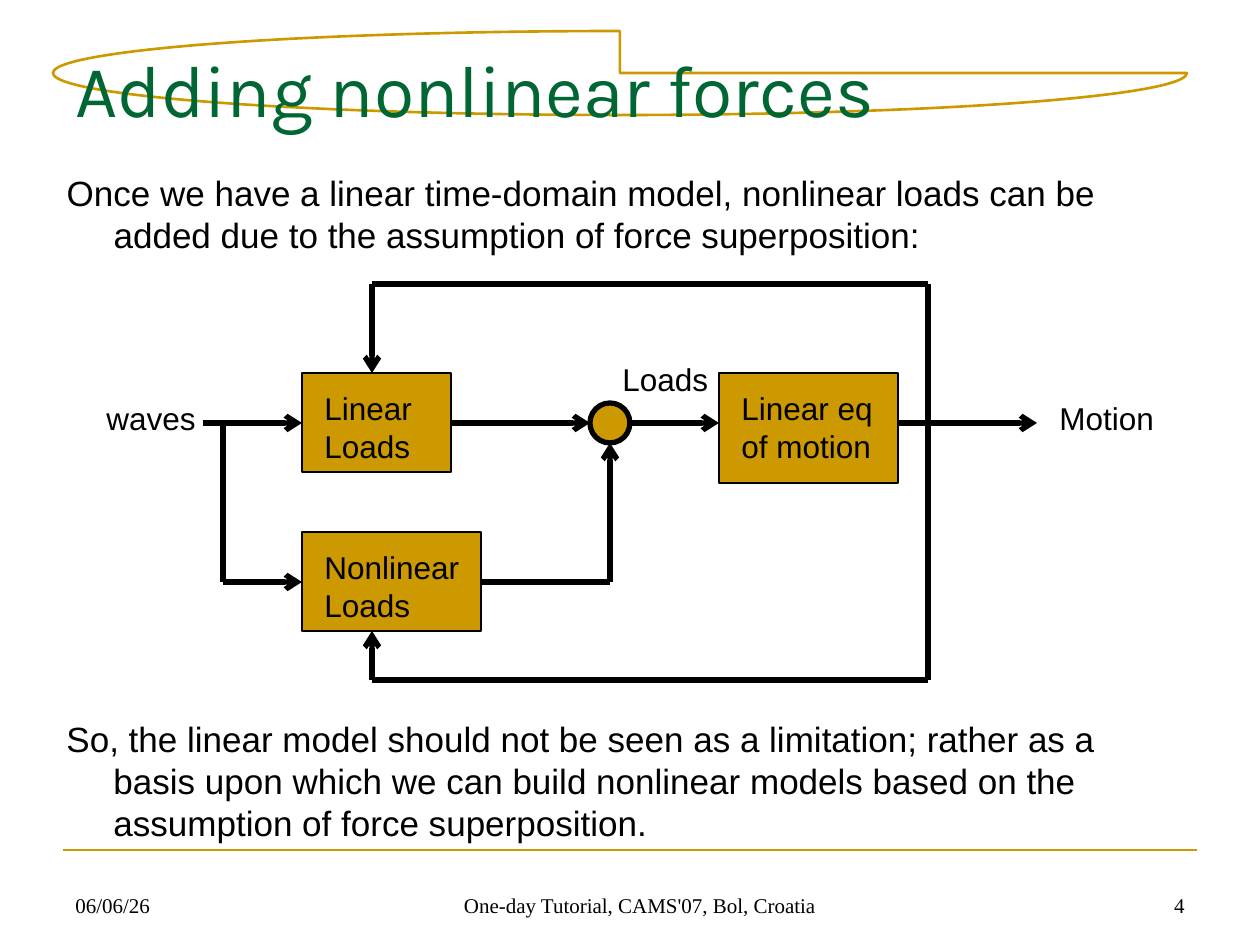
import dataclasses
import typing

import lxml.etree
import pptx
import pptx.dml.color
import pptx.enum.shapes
import pptx.enum.text
import pptx.oxml
import pptx.oxml.ns
import pptx.util

EMU_PER_PX = 914400 // 126
GOLD, GREEN, BLACK = "CC9900", "006633", "000000"
SHAPE = pptx.enum.shapes.MSO_SHAPE
ALIGN = pptx.enum.text.PP_ALIGN
ANCHOR = pptx.enum.text.MSO_ANCHOR
FEEDBACK_X, FEEDBACK_TOP, FEEDBACK_BOTTOM = 928, 284, 680
BRANCH_X, LOADS_X, SUM_X = 223, 372, 610
MAIN_Y, LOWER_Y = 423, 582


@dataclasses.dataclass(frozen=True)
class Box:
    left: int
    top: int
    width: int
    height: int


@dataclasses.dataclass(frozen=True)
class Label:
    text: str
    box: Box


@dataclasses.dataclass(frozen=True)
class Wire:
    start: tuple[int, int]
    end: tuple[int, int]
    arrow: bool = False


@dataclasses.dataclass(frozen=True)
class Footer:
    text: str
    box: Box
    align: ALIGN


BLOCKS = [
    Box(302, 373, 149, 99),
    Box(719, 373, 179, 110),
    Box(302, 532, 179, 99),
]
LABELS = [
    Label("Linear\vLoads", Box(312, 383, 129, 88)),
    Label("Linear eq of motion", Box(729, 383, 159, 88)),
    Label("Nonlinear Loads", Box(312, 542, 179, 88)),
    Label("waves", Box(94, 393, 129, 50)),
    Label("Motion", Box(1047, 393, 129, 50)),
    Label("Loads", Box(610, 354, 129, 50)),
]
WIRES = [
    Wire((203, MAIN_Y), (302, MAIN_Y), True),
    Wire((451, MAIN_Y), (590, MAIN_Y), True),
    Wire((630, MAIN_Y), (719, MAIN_Y), True),
    Wire((898, MAIN_Y), (1037, MAIN_Y), True),
    Wire((BRANCH_X, MAIN_Y), (BRANCH_X, LOWER_Y)),
    Wire((BRANCH_X, LOWER_Y), (302, LOWER_Y), True),
    Wire((481, LOWER_Y), (SUM_X, LOWER_Y)),
    Wire((SUM_X, LOWER_Y), (SUM_X, 443), True),
    Wire((FEEDBACK_X, FEEDBACK_BOTTOM), (FEEDBACK_X, FEEDBACK_TOP)),
    Wire((LOADS_X, FEEDBACK_TOP), (FEEDBACK_X, FEEDBACK_TOP)),
    Wire((LOADS_X, FEEDBACK_TOP), (LOADS_X, 373), True),
    Wire((LOADS_X, FEEDBACK_BOTTOM), (FEEDBACK_X, FEEDBACK_BOTTOM)),
    Wire((LOADS_X, FEEDBACK_BOTTOM), (LOADS_X, 631), True),
]
FOOTERS = [
    Footer("06/06/26", Box(63, 861, 294, 63), ALIGN.LEFT),
    Footer("One-day Tutorial, CAMS'07, Bol, Croatia", Box(392, 861, 496, 63), ALIGN.CENTER),
    Footer("4", Box(903, 861, 294, 63), ALIGN.RIGHT),
]
OPENING = (
    "Once we have a linear time-domain model, nonlinear loads can be added "
    "due to the assumption of force superposition:"
)
CLOSING = (
    "So, the linear model should not be seen as a limitation; rather as a basis "
    "upon which we can build nonlinear models based on the assumption of force superposition."
)


def px(length: int) -> int:
    return pptx.util.Emu(length * EMU_PER_PX)


def rgb(value: str) -> pptx.dml.color.RGBColor:
    return pptx.dml.color.RGBColor.from_string(value)


def frame(box: Box) -> tuple[int, ...]:
    return tuple(px(length) for length in dataclasses.astuple(box))


def write_text(shape: typing.Any, text: str, *, size: int = 18, font: str = "Arial",
               color: str = BLACK, align: ALIGN = ALIGN.LEFT,
               anchor: ANCHOR = ANCHOR.TOP, hanging: int = 0) -> None:
    text_frame = shape.text_frame
    text_frame.word_wrap = True
    text_frame.auto_size = pptx.enum.text.MSO_AUTO_SIZE.NONE
    text_frame.vertical_anchor = anchor
    paragraph = text_frame.paragraphs[0]
    paragraph.text = text
    paragraph.alignment = align
    paragraph.space_before = pptx.util.Pt(0)
    properties = paragraph._p.get_or_add_pPr()
    properties.set("marL", str(px(hanging)))
    properties.set("indent", str(-px(hanging)))
    lxml.etree.SubElement(properties, pptx.oxml.ns.qn("a:buNone"))
    for run in paragraph.runs:
        run.font.size = pptx.util.Pt(size)
        run.font.name = font
        run.font.color.rgb = rgb(color)


def fill_placeholder(shape: typing.Any, box: Box, text: str, **text_format: typing.Any) -> None:
    shape.left, shape.top, shape.width, shape.height = frame(box)
    write_text(shape, text, **text_format)


def add_text(slide: typing.Any, box: Box, text: str, **text_format: typing.Any) -> None:
    write_text(slide.shapes.add_textbox(*frame(box)), text, **text_format)


def add_outline(slide: typing.Any, kind: SHAPE, box: Box, line: str, weight: float,
                fill: str | None = None) -> None:
    shape = slide.shapes.add_shape(kind, *frame(box))
    shape.shadow.inherit = False
    if fill:
        shape.fill.solid()
        shape.fill.fore_color.rgb = rgb(fill)
    else:
        shape.fill.background()
    shape.line.color.rgb = rgb(line)
    shape.line.width = pptx.util.Pt(weight)


def add_wire(slide: typing.Any, wire: Wire, color: str = BLACK, weight: float = 3) -> None:
    connector = slide.shapes.add_connector(
        pptx.enum.shapes.MSO_CONNECTOR.STRAIGHT, *map(px, wire.start + wire.end))
    connector.line.color.rgb = rgb(color)
    connector.line.width = pptx.util.Pt(weight)
    if wire.arrow:
        line = connector.line._get_or_add_ln()
        lxml.etree.SubElement(line, pptx.oxml.ns.qn("a:tailEnd"), type="arrow")
    lxml.etree.SubElement(connector._element.spPr, pptx.oxml.ns.qn("a:effectLst"))


def main() -> None:
    presentation = pptx.Presentation()
    presentation.slide_width, presentation.slide_height = px(1260), px(945)
    slide = presentation.slides.add_slide(presentation.slide_layouts[1])
    title, body = slide.placeholders
    add_outline(slide, SHAPE.PIE, Box(53, 31, 1134, 84), GOLD, 1.5)
    slide.shapes._spTree.insert(2, slide.shapes[-1]._element)
    add_wire(slide, Wire((63, 850), (1197, 850)), GOLD, 1.5)
    fill_placeholder(title, Box(63, 38, 1134, 157), "Adding nonlinear forces",
                     size=42, font="Karla", color=GREEN)
    fill_placeholder(body, Box(54, 165, 1133, 118), OPENING, size=20, hanging=47)
    for block in BLOCKS:
        add_outline(slide, SHAPE.RECTANGLE, block, BLACK, 0.75, GOLD)
    add_outline(slide, SHAPE.OVAL, Box(590, 403, 40, 40), BLACK, 3, GOLD)
    for wire in WIRES:
        add_wire(slide, wire)
    for label in LABELS:
        add_text(slide, label.box, label.text)
    add_text(slide, Box(54, 711, 1133, 118), CLOSING, size=20, hanging=47)
    for footer in FOOTERS:
        add_text(slide, footer.box, footer.text, size=12, font="Times New Roman",
                 align=footer.align, anchor=ANCHOR.BOTTOM)
    presentation.save("out.pptx")


if __name__ == "__main__":
    main()
